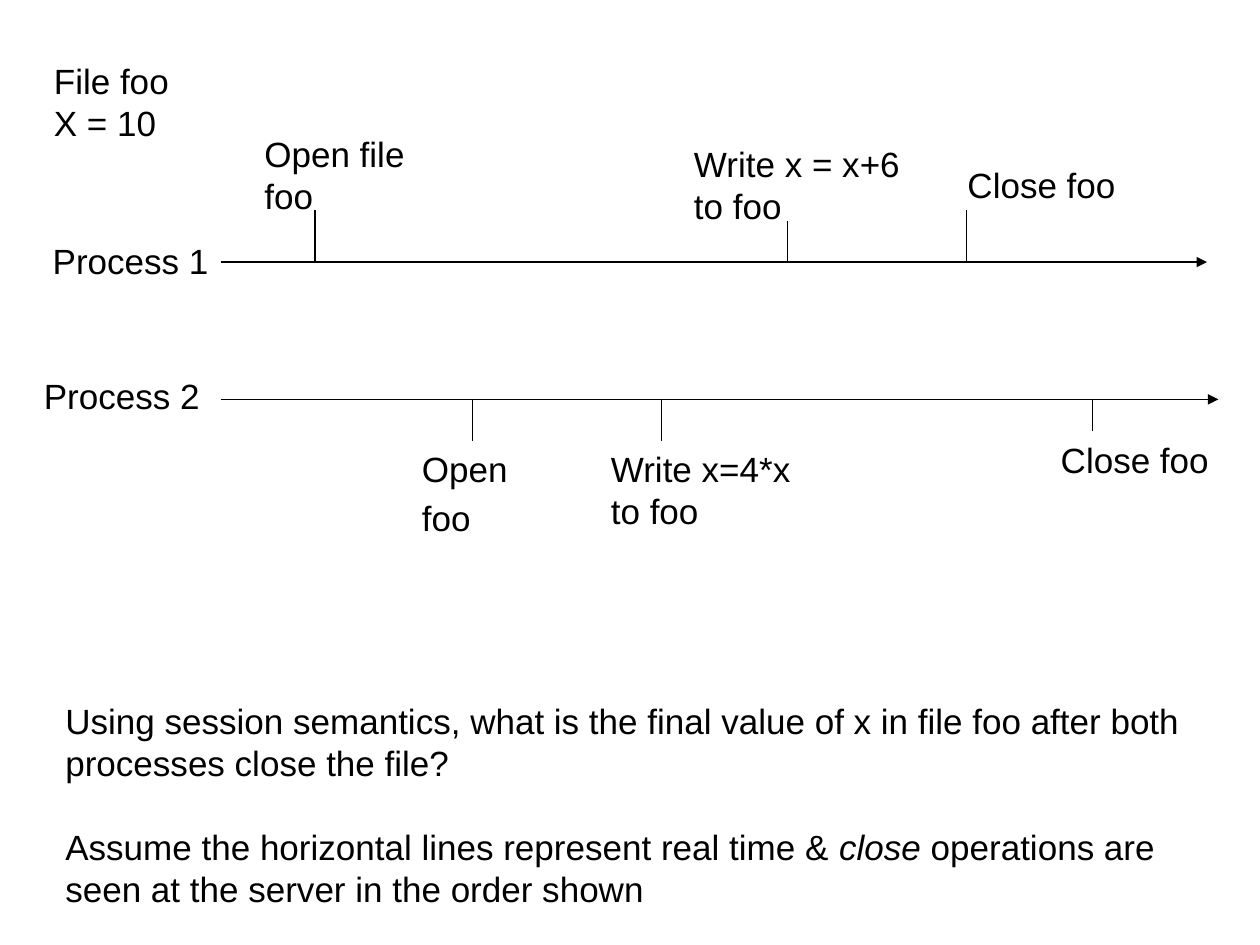
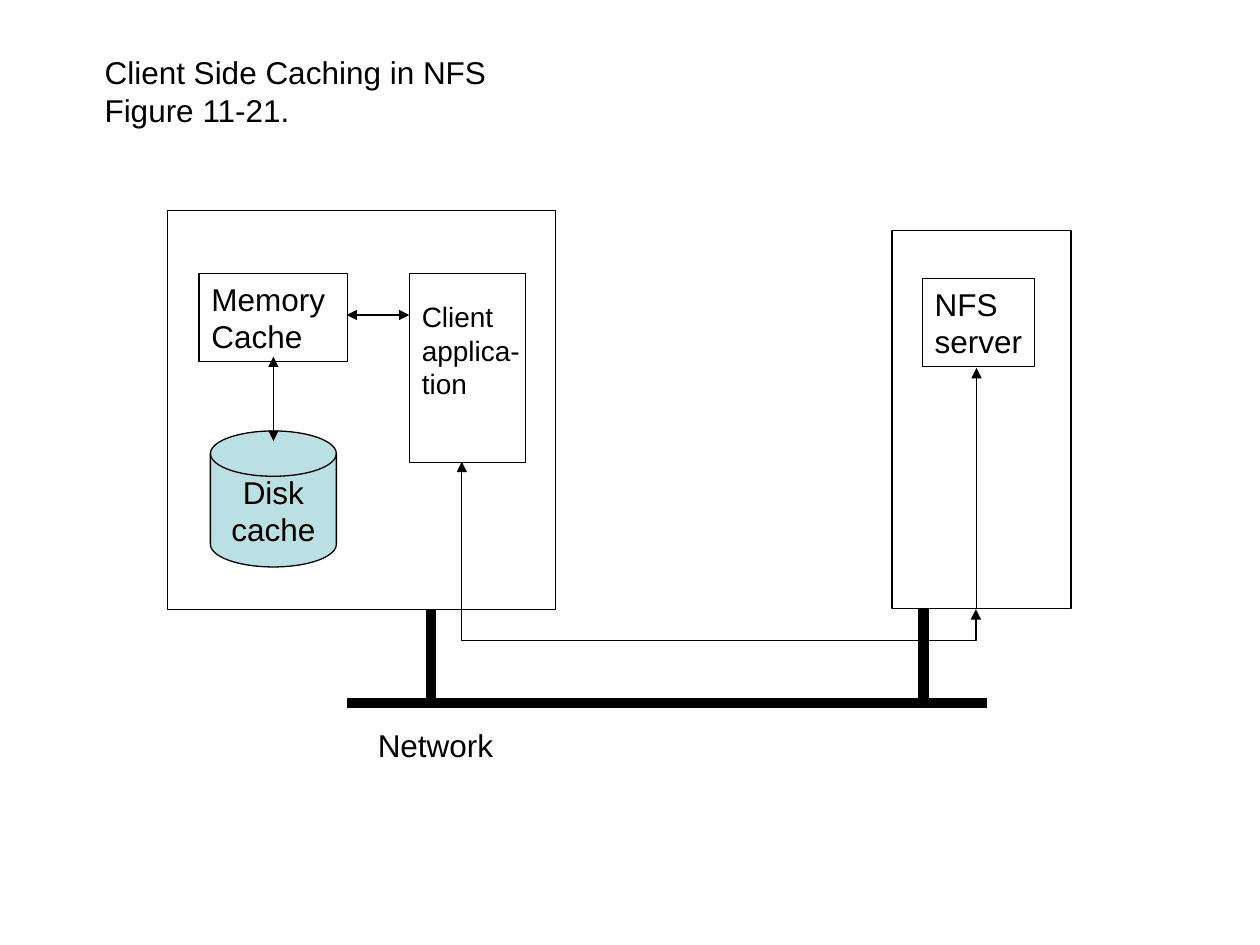
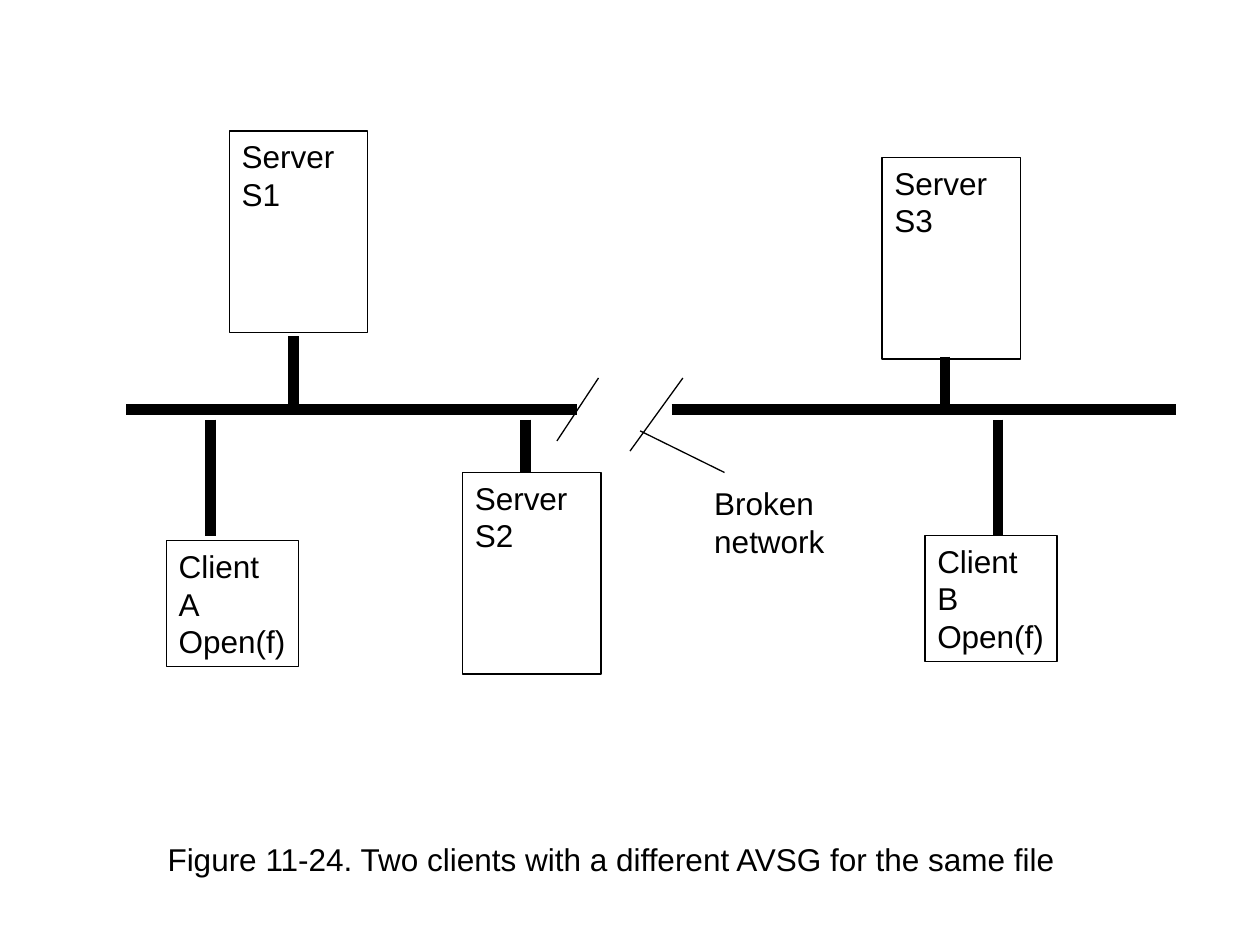
from dataclasses import dataclass

from lxml.etree import SubElement
from pptx import Presentation
from pptx.dml.color import RGBColor
from pptx.enum.shapes import MSO_CONNECTOR, MSO_SHAPE
from pptx.enum.text import MSO_ANCHOR, MSO_AUTO_SIZE, PP_ALIGN
from pptx.oxml.ns import qn
from pptx.util import Inches, Pt

BLACK = RGBColor(0x00, 0x00, 0x00)
DISK_BLUE = RGBColor(0xBB, 0xE0, 0xE3)
THIN, THICK = 0.75, 6
TITLE_ONLY, BLANK = 5, 6

FRAME_FORMAT = {
    "margin_left": Inches(0.1),
    "margin_right": Inches(0.1),
    "margin_top": Inches(0.05),
    "margin_bottom": Inches(0.05),
}


@dataclass(frozen=True)
class Label:
    x: float
    y: float
    w: float
    h: float
    text: str
    size: int = 18
    gaps: tuple[tuple[int, int], ...] = ()


@dataclass(frozen=True)
class Box:
    x: float
    y: float
    w: float
    h: float
    text: str = ""
    wrap: bool = False
    shape: MSO_SHAPE = MSO_SHAPE.RECTANGLE
    fill: RGBColor | None = None
    anchor: MSO_ANCHOR = MSO_ANCHOR.TOP
    align: PP_ALIGN = PP_ALIGN.LEFT


@dataclass(frozen=True)
class Line:
    x1: float
    y1: float
    x2: float
    y2: float
    width: float = THIN
    head: bool = False
    tail: bool = False
    kind: MSO_CONNECTOR = MSO_CONNECTOR.STRAIGHT


def write_text(tf, text: str, size: int, wrap: bool,
               anchor=MSO_ANCHOR.TOP, align=PP_ALIGN.LEFT) -> None:
    frame = FRAME_FORMAT | {
        "auto_size": MSO_AUTO_SIZE.NONE, "word_wrap": wrap, "vertical_anchor": anchor}
    for name, value in frame.items():
        setattr(tf, name, value)
    for i, line in enumerate(text.split("\n")):
        p = tf.paragraphs[0] if i == 0 else tf.add_paragraph()
        p.alignment = align
        for j, part in enumerate(line.split("_")):
            r = p.add_run()
            r.text = part
            font = {"name": "Arial", "size": Pt(size), "italic": j % 2 == 1}
            for name, value in font.items():
                setattr(r.font, name, value)
            r.font.color.rgb = BLACK


def fill_label(sp, label: Label) -> None:
    bounds = {"left": label.x, "top": label.y, "width": label.w, "height": label.h}
    for name, value in bounds.items():
        setattr(sp, name, Inches(value))
    write_text(sp.text_frame, label.text, label.size, wrap=True)
    for index, gap in label.gaps:
        sp.text_frame.paragraphs[index].space_before = Pt(gap)


def add_label(s, label: Label) -> None:
    sp = s.shapes.add_textbox(*map(Inches, (label.x, label.y, label.w, label.h)))
    fill_label(sp, label)


def add_box(s, box: Box) -> None:
    sp = s.shapes.add_shape(box.shape, *map(Inches, (box.x, box.y, box.w, box.h)))
    sp.shadow.inherit = False
    if box.fill is None:
        sp.fill.background()
    else:
        sp.fill.solid()
        sp.fill.fore_color.rgb = box.fill
    sp.line.color.rgb = BLACK
    sp.line.width = Pt(THIN)
    if box.text:
        write_text(sp.text_frame, box.text, 18, box.wrap, box.anchor, box.align)


def add_line(s, line: Line):
    sp = s.shapes.add_connector(line.kind, *map(Inches, (line.x1, line.y1, line.x2, line.y2)))
    sp.line.color.rgb = BLACK
    sp.line.width = Pt(line.width)
    sp_pr = sp._element.spPr
    ln = sp_pr.find(qn("a:ln"))
    for tag, shown in (("a:headEnd", line.head), ("a:tailEnd", line.tail)):
        if shown:
            SubElement(ln, qn(tag), type="triangle")
    SubElement(sp_pr, qn("a:effectLst"))
    return sp


def add_network_route(s) -> None:
    route = Line(6.29, 2.21, 5.12, 6.29, head=True, tail=True, kind=MSO_CONNECTOR.ELBOW)
    sp_pr = add_line(s, route)._element.spPr
    sp_pr.find(qn("a:xfrm")).set("rot", str(270 * 60000))
    geom = sp_pr.find(qn("a:prstGeom"))
    guides = geom.find(qn("a:avLst"))
    if guides is None:
        guides = SubElement(geom, qn("a:avLst"))
    SubElement(guides, qn("a:gd"), name="adj1", fmla="val 121400")


def draw(s, *items: Label | Box | Line) -> None:
    drawers = {Label: add_label, Box: add_box, Line: add_line}
    for item in items:
        drawers[type(item)](s, item)


def add_timeline(s, y: float, end: float, ticks: dict[float, float]) -> None:
    draw(s, Line(1.75, y, end, y, tail=True))
    draw(s, *(Line(x, y, x, tip) for x, tip in ticks.items()))


def build_sessions(prs) -> None:
    s = prs.slides.add_slide(prs.slide_layouts[BLANK])
    add_timeline(s, 2.08, 9.58, {2.5: 1.67, 6.25: 1.75, 7.67: 1.67})
    add_timeline(s, 3.17, 9.67, {3.75: 3.5, 5.25: 3.5, 8.67: 3.42})
    question = (
        "Using session semantics, what is the final value of x in file foo after both\n"
        "processes close the file?\n"
        "Assume the horizontal lines represent real time & _close_ operations are"
        " seen at the server in the order shown"
    )
    draw(
        s,
        Label(0.33, 0.42, 1.2, 0.77, "File foo\nX = 10", 20),
        Label(0.32, 1.85, 1.5, 0.44, "Process 1", 20),
        Label(2, 1, 1.4, 0.77, "Open file\nfoo", 20),
        Label(5.41, 1.08, 1.9, 0.77, "Write x = x+6\nto foo", 20),
        Label(7.58, 1.25, 1.45, 0.44, "Close foo", 20),
        Label(0.25, 2.92, 1.5, 0.44, "Process 2", 20),
        Label(3.25, 3.5, 0.95, 0.84, "Open\nfoo", 20, gaps=((1, 4),)),
        Label(4.75, 3.5, 1.7, 0.77, "Write x=4*x\nto foo", 20),
        Label(8.32, 3.43, 1.45, 0.44, "Close foo", 20),
        Label(0.42, 5.5, 9.42, 1.77, question, 20, gaps=((2, 24),)),
    )


def build_caching(prs) -> None:
    s = prs.slides.add_slide(prs.slide_layouts[TITLE_ONLY])
    fill_label(s.shapes.title,
               Label(0.73, 0.37, 3.3, 0.7, "Client Side Caching in NFS\nFigure 11-21."))
    draw(
        s,
        Box(1.33, 1.67, 3.08, 3.17),
        Box(1.58, 2.17, 1.18, 0.7, "Memory Cache", wrap=True),
        Box(3.25, 2.17, 0.92, 1.5),
        Label(3.25, 2.33, 1, 0.9, "Client\napplica-tion", 16),
        Box(1.67, 3.42, 1, 1.08, "Disk\ncache", shape=MSO_SHAPE.FLOWCHART_MAGNETIC_DISK,
            fill=DISK_BLUE, anchor=MSO_ANCHOR.MIDDLE, align=PP_ALIGN.CENTER),
        Line(2.17, 2.83, 2.17, 3.5, head=True, tail=True),
        Line(2.75, 2.5, 3.25, 2.5, head=True, tail=True),
        Box(7.08, 1.83, 1.42, 3),
        Box(7.32, 2.21, 0.89, 0.7, "NFS\nserver"),
        Line(2.75, 5.58, 7.83, 5.58, THICK),
        *(Line(x, 4.83, x, 5.58, THICK) for x in (3.42, 7.33)),
        Label(2.9, 5.71, 1.2, 0.4, "Network"),
        Line(7.75, 4.83, 7.75, 2.92, tail=True),
    )
    add_network_route(s)


def build_broken_network(prs) -> None:
    s = prs.slides.add_slide(prs.slide_layouts[TITLE_ONLY])
    servers = (("S1", 1.82, 1.04), ("S2", 3.67, 3.75), ("S3", 7, 1.25))
    clients = (("A", 1.32, 4.29), ("B", 7.34, 4.25))
    buses = ((1, 4.58), (5.33, 9.33))
    drops = ((2.33, 2.67, 3.25), (1.67, 3.33, 4.25), (4.17, 3.33, 3.75),
             (7.5, 2.83, 3.25), (7.92, 3.33, 4.25))
    draw(
        s,
        *(Box(x, y, 1.1, 1.6, f"Server\n{name}", wrap=True) for name, x, y in servers),
        *(Box(x, y, 1.05, 1, f"Client\n{name}\nOpen(f)") for name, x, y in clients),
        *(Line(start, 3.25, end, 3.25, THICK) for start, end in buses),
        *(Line(x, top, x, bottom, THICK) for x, top, bottom in drops),
        Line(4.75, 3, 4.42, 3.5),
        Line(5.42, 3, 5, 3.58),
        Line(5.75, 3.75, 5.08, 3.42),
        Label(5.57, 3.79, 1.15, 0.7, "Broken\nnetwork"),
    )
    fill_label(s.shapes.title, Label(
        1.23, 6.62, 7.4, 0.4,
        "Figure 11-24. Two clients with a different AVSG for the same file"))


def main() -> None:
    prs = Presentation()
    prs.slide_width, prs.slide_height = Inches(10), Inches(7.5)
    build_sessions(prs)
    build_caching(prs)
    build_broken_network(prs)
    prs.save("out.pptx")


if __name__ == "__main__":
    main()
